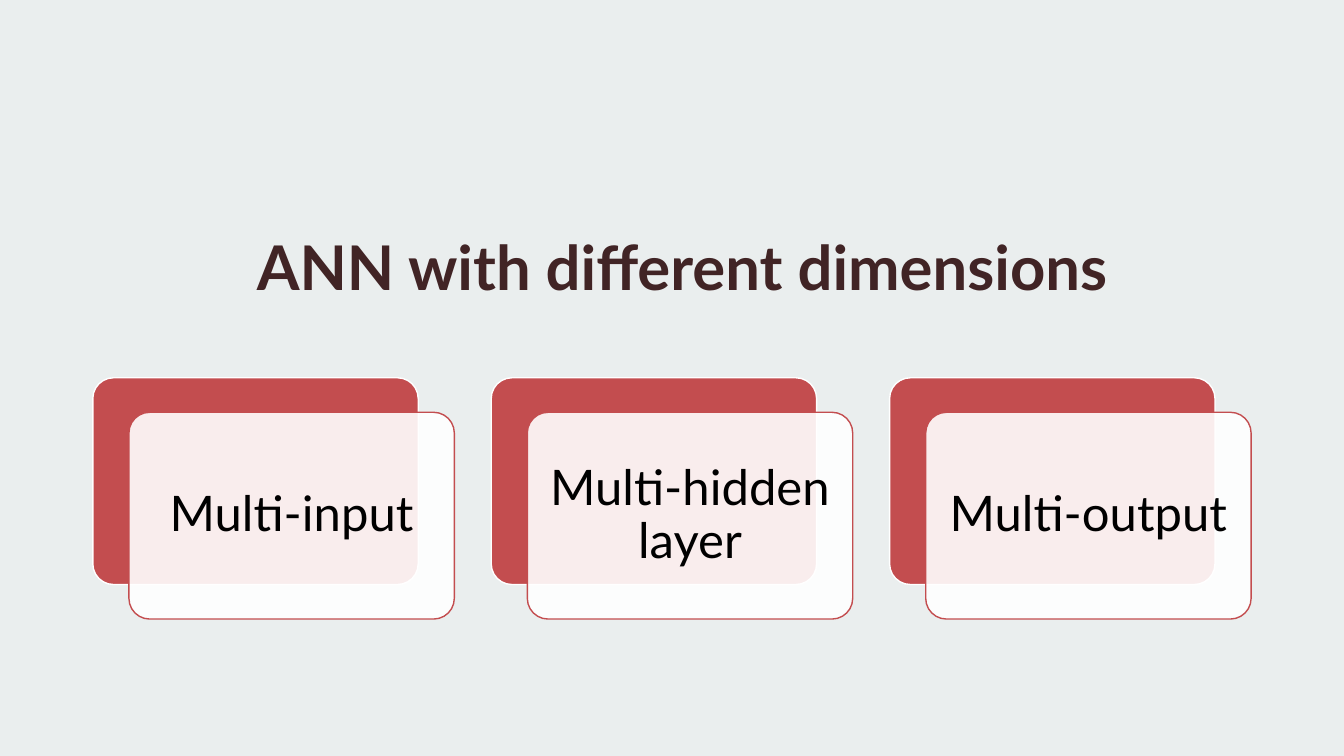
"""Build a title slide with three layered cards."""
from lxml import etree
from pptx import Presentation
from pptx.dml.color import RGBColor
from pptx.enum.shapes import MSO_SHAPE
from pptx.enum.text import MSO_ANCHOR, MSO_AUTO_SIZE, PP_ALIGN
from pptx.oxml.ns import qn
from pptx.util import Cm, Pt

RECT, ROUND = MSO_SHAPE.RECTANGLE, MSO_SHAPE.ROUNDED_RECTANGLE
MIDDLE, BOTTOM = MSO_ANCHOR.MIDDLE, MSO_ANCHOR.BOTTOM
CENTER = PP_ALIGN.CENTER
NO_FIT = MSO_AUTO_SIZE.NONE

COLORS = {"veil": "E2E8E8", "title": "412425", "red": "C34D4F",
          "white": "FFFFFF", "black": "000000"}
LABELS = ["Multi-input", "Multi-hidden layer", "Multi-output"]
PAGE_W, PAGE_H = 33.87, 19.05
LEFT, TOP, STEP = 2.34, 9.52, 10.04
WIDTH, HEIGHT = 8.2, 5.21
SHIFT_X, SHIFT_Y = 0.91, 0.87


def color(name):
    """Return the named colour."""
    return RGBColor.from_string(COLORS[name])


def put_text(shape, text, size, ink, bold=False, anchor=MIDDLE,
             inset=None, spacing=1.0):
    """Write centred, formatted text into a shape."""
    frame = shape.text_frame
    frame.word_wrap = True
    frame.auto_size = NO_FIT
    frame.vertical_anchor = anchor
    if inset is not None:
        frame.margin_left = frame.margin_right = Cm(inset)
        frame.margin_top = frame.margin_bottom = Cm(inset)
    para = frame.paragraphs[0]
    para.alignment = CENTER
    para.line_spacing = spacing
    run = para.add_run()
    run.text = text
    run.font.name = "Lato"
    run.font.size = Pt(size)
    run.font.bold = bold
    run.font.color.rgb = color(ink)


def add_box(slide, kind, left, top, width, height, fill,
            line=None, alpha=100):
    """Add a filled shape, with its opacity in percent."""
    box = slide.shapes.add_shape(
        kind, Cm(left), Cm(top), Cm(width), Cm(height))
    box.shadow.inherit = False
    box.fill.solid()
    box.fill.fore_color.rgb = color(fill)
    if line:
        box.line.color.rgb = color(line)
        box.line.width = Pt(1)
    else:
        box.line.fill.background()
    if alpha < 100:
        tone = box.fill._xPr.find(qn("a:solidFill"))[0]
        etree.SubElement(tone, qn("a:alpha")).set("val", str(alpha * 1000))
    return box


def add_card(slide, left, top, fill, line, alpha=100):
    """Add a rounded card."""
    card = add_box(slide, ROUND, left, top, WIDTH, HEIGHT, fill, line, alpha)
    card.adjustments[0] = 0.1
    return card


def add_pair(slide, left, label):
    """Add a red card with a labelled, see-through card over it."""
    add_card(slide, left, TOP, "red", "white")
    front = add_card(slide, left + SHIFT_X, TOP + SHIFT_Y,
                     "white", "red", alpha=90)
    put_text(front, label, 35, "black", inset=0.38, spacing=0.9)


def add_title(slide, text):
    """Place and fill the title, in front of the backdrop."""
    title = slide.shapes.title
    slide.shapes._spTree.append(title._element)
    title.left, title.top = Cm(3.33), Cm(1.07)
    title.width, title.height = Cm(27.74), Cm(6.68)
    put_text(title, text, 44, "title", bold=True, anchor=BOTTOM)


def main():
    """Build and save the slide."""
    deck = Presentation()
    deck.slide_width, deck.slide_height = Cm(PAGE_W), Cm(PAGE_H)
    slide = deck.slides.add_slide(deck.slide_layouts[5])
    for fill, alpha in (("white", 100), ("veil", 70)):
        add_box(slide, RECT, 0, 0, PAGE_W, PAGE_H, fill, alpha=alpha)
    add_title(slide, "ANN with different dimensions")
    for index, label in enumerate(LABELS):
        add_pair(slide, LEFT + index * STEP, label)
    deck.save("out.pptx")


if __name__ == "__main__":
    main()
